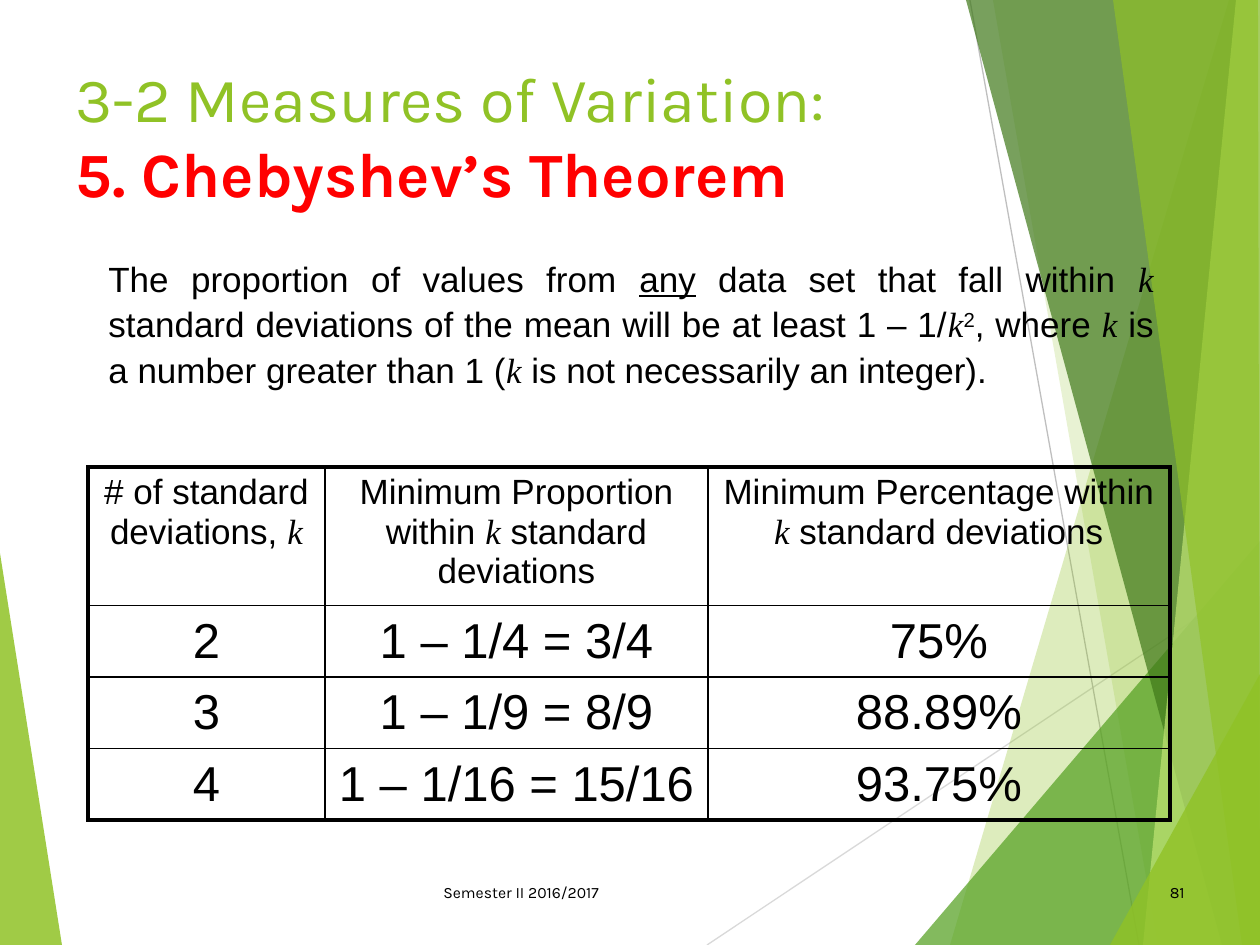
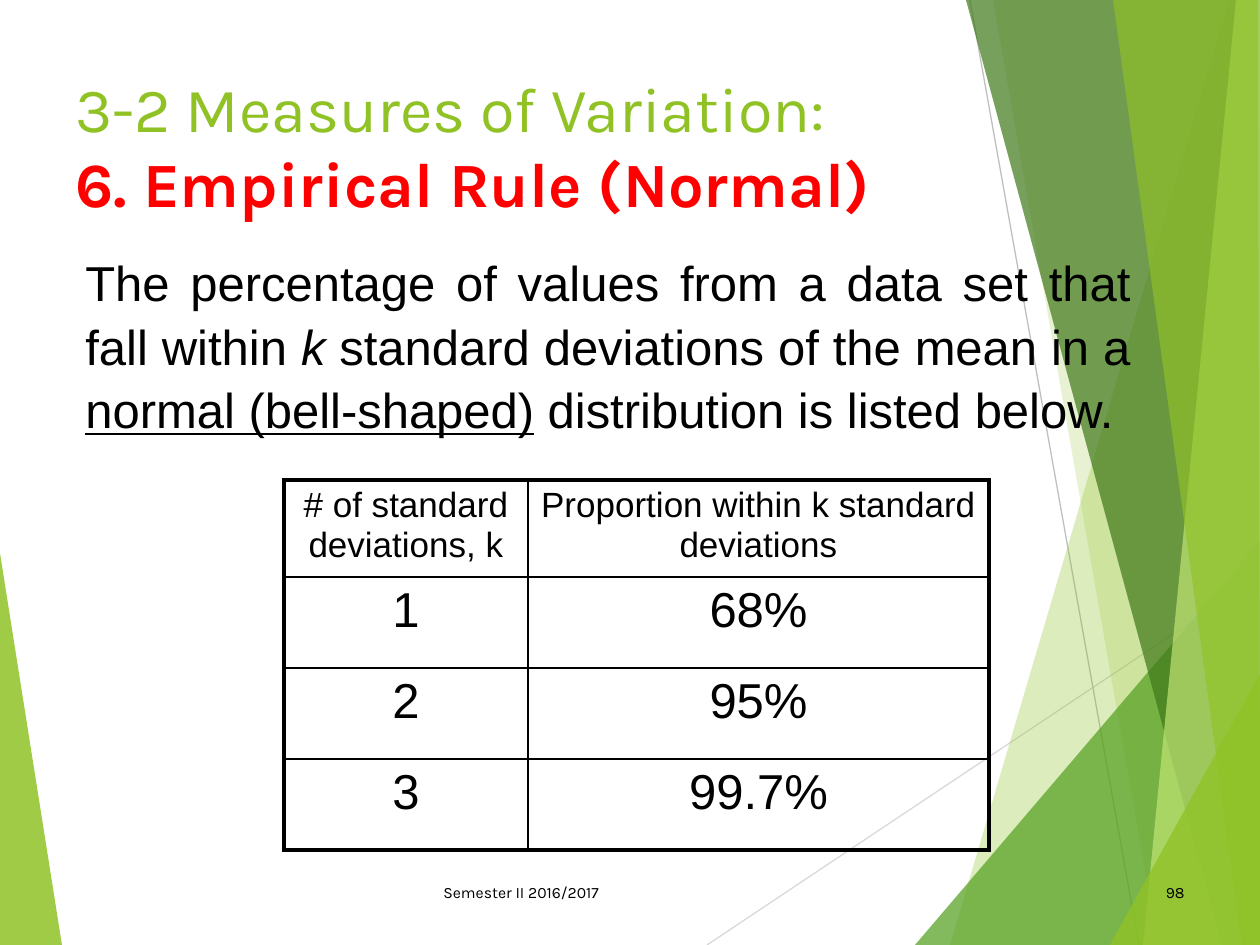
import pptx
import pptx.dml.color
import pptx.enum.shapes
import pptx.enum.text
import pptx.oxml
import pptx.oxml.ns
import pptx.util

PX = 914400 / 126
WIDTH, HEIGHT = 1260, 945
COLORS = {
    "black": "000000", "title": "90C226", "topic": "FF0000",
    "lime": "90C226", "green": "54A021", "forest": "3F7819", "pale": "C0E474",
    "line_light": "D9D9D9", "line_dark": "BFBFBF",
}
ALIGN = pptx.enum.text.PP_ALIGN
ANCHOR = pptx.enum.text.MSO_ANCHOR
HEADING = "3-2 Measures of Variation:"
FOOTER = "Semester II 2016/2017"

# Facets: colour, opacity in percent, outline points
LEFT_FACET = ("lime", 85, [(0, 553), (62, 945), (0, 945)])
RIGHT_FACETS = [
    ("lime", 30, [(1229, 0), (950, 945), (1260, 945), (1260, 0)]),
    ("lime", 20, [(993, 0), (1158, 945), (1260, 945), (1260, 0)]),
    ("green", 72, [(915, 945), (1260, 541), (1260, 945)]),
    ("forest", 70, [(966, 0), (1222, 945), (1260, 945), (1260, 0)]),
    ("pale", 70, [(1236, 0), (1143, 945), (1260, 945), (1260, 0)]),
    ("lime", 65, [(1113, 0), (1242, 945), (1260, 945), (1258, 0)]),
    ("lime", 80, [(1110, 945), (1260, 674), (1260, 945)]),
]
RAYS = [("line_light", (707, 945, 1260, 576)), ("line_dark", (970, 0, 1139, 945))]

# A piece of text is a string, or a (string, style) pair
STYLES = {
    "variable": {"name": "Times New Roman", "italic": True},
    "italic": {"italic": True},
    "underline": {"underline": True},
    "superscript": {},
}
K = ("k", "variable")

SLIDES = [
    {
        "topic": "5. Chebyshev’s Theorem", "title_top": 53, "number": "81",
        "body_box": (96, 248, 1070, 140), "body_size": 20,
        "body": ["The proportion of values from ", ("any", "underline"),
                 " data set that fall within ", K,
                 " standard deviations of the mean will be at least 1 – 1/", K,
                 ("2", "superscript"), ", where ", K, " is a number greater than 1 (", K,
                 " is not necessarily an integer)."],
        "table_at": (88, 467), "columns": [237, 383, 462], "rows": [131, 67, 67, 67],
        "anchor": ANCHOR.MIDDLE,
        "header": [["# of standard deviations, ", K],
                   ["Minimum Proportion within ", K, " standard deviations"],
                   ["Minimum Percentage within ", K, " standard deviations"]],
        "values": [("2", "1 – 1/4 = 3/4", "75%"),
                   ("3", "1 – 1/9 = 8/9", "88.89%"),
                   ("4", "1 – 1/16 = 15/16", "93.75%")],
    },
    {
        "topic": "6. Empirical Rule (Normal)", "title_top": 63, "number": "98",
        "body_box": (73, 242, 1070, 248), "body_size": 28,
        "body": ["The percentage of values from a data set that fall within ",
                 ("k", "italic"), " standard deviations of the mean in a ",
                 ("normal (bell-shaped)", "underline"), " distribution is listed below."],
        "table_at": (284, 480), "columns": [244, 461], "rows": [97, 91, 91, 91],
        "anchor": ANCHOR.TOP,
        "header": [["# of standard deviations, k"],
                   ["Proportion within k standard deviations"]],
        "values": [("1", "68%"), ("2", "95%"), ("3", "99.7%")],
    },
]


def px(n):
    return pptx.util.Emu(round(n * PX))


def rgb(name):
    return pptx.dml.color.RGBColor.from_string(COLORS[name])


def format_run(r, size, font="Arial", color="black", bold=False):
    r.font.size = pptx.util.Pt(size)
    r.font.name = font
    r.font.bold = bold
    r.font.color.rgb = rgb(color)


def add_pieces(p, pieces, size):
    for piece in pieces:
        text, style = (piece, None) if isinstance(piece, str) else piece
        r = p.add_run()
        r.text = text
        format_run(r, size)
        for attribute, value in STYLES.get(style, {}).items():
            setattr(r.font, attribute, value)
        if style == "superscript":
            r.font._element.set("baseline", "30000")


def add_text_box(s, box, align=ALIGN.LEFT, anchor=ANCHOR.TOP):
    """Add an empty wrapping text box and return its first paragraph."""
    tf = s.shapes.add_textbox(*map(px, box)).text_frame
    tf.word_wrap = True
    tf.vertical_anchor = anchor
    p = tf.paragraphs[0]
    p.alignment = align
    return p


def add_facet(s, color, opacity, points):
    builder = s.shapes.build_freeform(*points[0], scale=PX)
    builder.add_line_segments(points[1:], close=True)
    sp = builder.convert_to_shape()
    sp.shadow.inherit = False
    sp.fill.solid()
    sp.fill.fore_color.rgb = rgb(color)
    sp.line.fill.background()
    clr = sp._element.spPr.find(".//" + pptx.oxml.ns.qn("a:srgbClr"))
    clr.append(pptx.oxml.parse_xml(
        f'<a:alpha {pptx.oxml.ns.nsdecls("a")} val="{opacity * 1000}"/>'))


def add_ray(s, color, ends):
    line = s.shapes.add_connector(pptx.enum.shapes.MSO_CONNECTOR.STRAIGHT, *map(px, ends))
    line.line.color.rgb = rgb(color)
    line.line.width = pptx.util.Pt(0.75)
    line._element.spPr.append(pptx.oxml.parse_xml(
        f'<a:effectLst {pptx.oxml.ns.nsdecls("a")}/>'))


def add_backdrop(s):
    add_facet(s, *LEFT_FACET)
    for ray in RAYS:
        add_ray(s, *ray)
    for facet in RIGHT_FACETS:
        add_facet(s, *facet)


def add_title(s, top, topic):
    p = add_text_box(s, (63, top, 1134, 158))
    for i, (text, color) in enumerate([(HEADING, "title"), (topic, "topic")]):
        if i:
            p.add_line_break()
        r = p.add_run()
        r.text = text
        format_run(r, 36, "Karla", color, bold=color == "topic")


def add_footer(s, number):
    for text, box, align in [(FOOTER, (431, 861, 399, 63), ALIGN.LEFT),
                             (number, (903, 861, 294, 63), ALIGN.RIGHT)]:
        p = add_text_box(s, box, align, ANCHOR.MIDDLE)
        p.text = text
        format_run(p.runs[0], 9, "Karla")


def set_borders(cell, outer_sides):
    """Rule all four sides, heavier where the side lies on the table's edge."""
    tcPr = cell._tc.get_or_add_tcPr()
    for side in "LRTB":
        width = pptx.util.Pt(2.25 if side in outer_sides else 1)
        tcPr.append(pptx.oxml.parse_xml(
            f'<a:ln{side} {pptx.oxml.ns.nsdecls("a")} w="{width}"><a:solidFill>'
            f'<a:srgbClr val="{COLORS["black"]}"/></a:solidFill></a:ln{side}>'))


def add_deviation_table(s, spec_):
    columns, rows = spec_["columns"], spec_["rows"]
    frame = s.shapes.add_table(len(rows), len(columns),
                               *map(px, (*spec_["table_at"], sum(columns), sum(rows))))
    table = frame.table
    table.first_row = table.horz_banding = False
    for column, width in zip(table.columns, columns):
        column.width = px(width)
    for row, height in zip(table.rows, rows):
        row.height = px(height)

    contents = [spec_["header"]] + [[[v] for v in row] for row in spec_["values"]]
    for i, row in enumerate(contents):
        for j, pieces in enumerate(row):
            cell = table.cell(i, j)
            edges = {"L": j == 0, "R": j == len(columns) - 1,
                     "T": i == 0, "B": i == len(rows) - 1}
            set_borders(cell, [side for side, on_edge in edges.items() if on_edge])
            cell.fill.background()
            cell.vertical_anchor = spec_["anchor"] if i else ANCHOR.TOP
            p = cell.text_frame.paragraphs[0]
            p.alignment = ALIGN.CENTER
            add_pieces(p, pieces, 28 if i else 20)


def main():
    prs = pptx.Presentation()
    prs.slide_width, prs.slide_height = px(WIDTH), px(HEIGHT)
    for content in SLIDES:
        s = prs.slides.add_slide(prs.slide_layouts[6])
        add_backdrop(s)
        p = add_text_box(s, content["body_box"], ALIGN.JUSTIFY)
        p.line_spacing = 1.08
        add_pieces(p, content["body"], content["body_size"])
        add_title(s, content["title_top"], content["topic"])
        add_deviation_table(s, content)
        add_footer(s, content["number"])
    prs.save("out.pptx")


if __name__ == "__main__":
    main()
